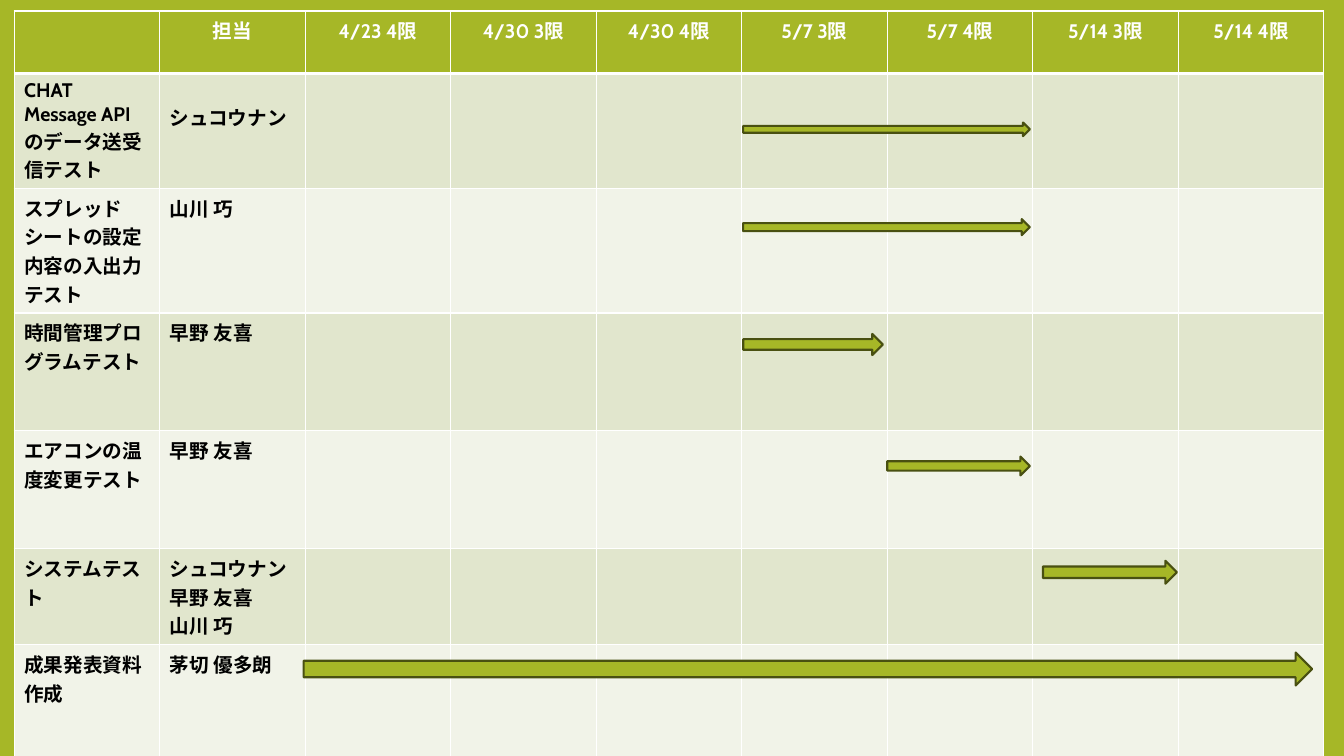
from dataclasses import dataclass

from lxml import etree
from pptx import Presentation
from pptx.dml.color import RGBColor
from pptx.enum.lang import MSO_LANGUAGE_ID
from pptx.enum.shapes import MSO_SHAPE
from pptx.enum.text import PP_ALIGN
from pptx.oxml.ns import qn
from pptx.util import Inches, Pt

RECTANGLE = MSO_SHAPE.RECTANGLE
RIGHT_ARROW = MSO_SHAPE.RIGHT_ARROW
LEFT, CENTER = PP_ALIGN.LEFT, PP_ALIGN.CENTER
JAPANESE = MSO_LANGUAGE_ID.JAPANESE


@dataclass(frozen=True)
class Theme:
    green: str = "A6B727"
    outline: str = "495011"
    white: str = "FFFFFF"
    black: str = "000000"
    bands: tuple[str, str] = ("E1E6CD", "F1F3E8")
    latin: str = "Cabin"
    japanese: str = "Noto Sans CJK JP"
    text_size: float = 14
    grid_line: float = 1
    header_line: float = 3
    arrow_line: float = 1.5


@dataclass(frozen=True)
class Grid:
    left: float
    top: float
    column: float
    rows: tuple[float, ...]

    def x(self, column: float) -> float:
        return self.left + column * self.column

    def y(self, row: int, share: float = 0) -> float:
        return self.top + sum(self.rows[:row]) + share * self.rows[row]


@dataclass(frozen=True)
class Task:
    title: str
    members: tuple[str, ...]
    start: float
    span: float
    middle: float
    thickness: float
    member_top: float = 0.05


THEME = Theme()
WIDTH, HEIGHT = 13.33, 7.5
GRID = Grid(0.14, 0.11, 12.99 / 9, (0.62, 1.13, 1.23, 1.17, 1.17, 0.95, 1.17))
HEADINGS = ("", "担当", "4/23 4限", "4/30 3限", "4/30 4限",
            "5/7 3限", "5/7 4限", "5/14 3限", "5/14 4限")
TASKS = (
    Task("CHAT Message APIのデータ送受信テスト", ("シュコウナン",), 5.01, 1.97, 0.49, 0.12, 0.29),
    Task("スプレッドシートの設定内容の入出力テスト", ("山川 巧",), 5.01, 1.97, 0.32, 0.13),
    Task("時間管理プログラムテスト", ("早野 友喜",), 5.01, 0.96, 0.28, 0.18),
    Task("エアコンの温度変更テスト", ("早野 友喜",), 6, 0.98, 0.31, 0.16),
    Task("システムテスト", ("シュコウナン", "早野 友喜", "山川 巧"), 7.07, 0.92, 0.26, 0.24),
    Task("成果発表資料作成", ("茅切 優多朗",), 1.99, 6.93, 0.22, 0.28),
)


def rgb(color: str) -> RGBColor:
    return RGBColor.from_string(color)


def write(frame, *lines: str, color: str = THEME.black, align=LEFT,
          size: float = THEME.text_size, bold: bool = True) -> None:
    for index, line in enumerate(lines):
        paragraph = frame.add_paragraph() if index else frame.paragraphs[0]
        paragraph.alignment = align
        run = paragraph.add_run()
        run.text = line
        font = run.font
        font.size, font.bold = Pt(size), bold
        font.language_id = JAPANESE
        font.color.rgb = rgb(color)
        font.name = THEME.latin
        etree.SubElement(run._r.get_or_add_rPr(), qn("a:ea"), typeface=THEME.japanese)


def style_cell(cell, fill: str, top: float, bottom: float) -> None:
    properties = cell._tc.get_or_add_tcPr()
    thin = THEME.grid_line
    for side, points in (("L", thin), ("R", thin), ("T", top), ("B", bottom)):
        border = etree.SubElement(properties, qn(f"a:ln{side}"), w=str(Pt(points)))
        paint = etree.SubElement(border, qn("a:solidFill"))
        etree.SubElement(paint, qn("a:srgbClr"), val=THEME.white)
    cell.fill.solid()
    cell.fill.fore_color.rgb = rgb(fill)


def add_shape(slide, preset, left: float, top: float, width: float, height: float,
              fill: str, outline: str = "") -> None:
    shape = slide.shapes.add_shape(
        preset, Inches(left), Inches(top), Inches(width), Inches(height))
    shape.shadow.inherit = False
    shape.fill.solid()
    shape.fill.fore_color.rgb = rgb(fill)
    if outline:
        shape.line.color.rgb = rgb(outline)
        shape.line.width = Pt(THEME.arrow_line)
    else:
        shape.line.fill.background()


def add_schedule(slide) -> None:
    schedule = slide.shapes.add_table(
        len(GRID.rows), len(HEADINGS), Inches(GRID.left), Inches(GRID.top),
        Inches(GRID.column * len(HEADINGS)), Inches(sum(GRID.rows))).table
    for column in schedule.columns:
        column.width = Inches(GRID.column)
    for index, (row, height) in enumerate(zip(schedule.rows, GRID.rows)):
        row.height = Inches(height)
        fill = THEME.bands[(index - 1) % 2] if index else THEME.green
        top = THEME.header_line if index == 1 else THEME.grid_line
        bottom = THEME.grid_line if index else THEME.header_line
        for cell in row.cells:
            style_cell(cell, fill, top, bottom)
    for column, heading in enumerate(HEADINGS):
        if heading:
            write(schedule.cell(0, column).text_frame, heading,
                  color=THEME.white, align=CENTER)
    for row, task in enumerate(TASKS, start=1):
        write(schedule.cell(row, 0).text_frame, task.title)
        members = schedule.cell(row, 1)
        members.margin_top = Inches(task.member_top)
        write(members.text_frame, *task.members)


def add_period(slide, row: int, task: Task) -> None:
    add_shape(slide, RIGHT_ARROW, GRID.x(task.start),
              GRID.y(row, task.middle - task.thickness / 2),
              task.span * GRID.column, task.thickness * GRID.rows[row],
              THEME.green, THEME.outline)


def main() -> None:
    deck = Presentation()
    deck.slide_width, deck.slide_height = Inches(WIDTH), Inches(HEIGHT)
    slide = deck.slides.add_slide(deck.slide_layouts[6])
    slide.background.fill.solid()
    slide.background.fill.fore_color.rgb = rgb(THEME.green)
    add_shape(slide, RECTANGLE, 0.019 * WIDTH, 0.036 * HEIGHT,
              0.962 * WIDTH, 0.93 * HEIGHT, THEME.white)
    add_schedule(slide)
    for row, task in enumerate(TASKS, start=1):
        add_period(slide, row, task)
    deck.save("out.pptx")


if __name__ == "__main__":
    main()
